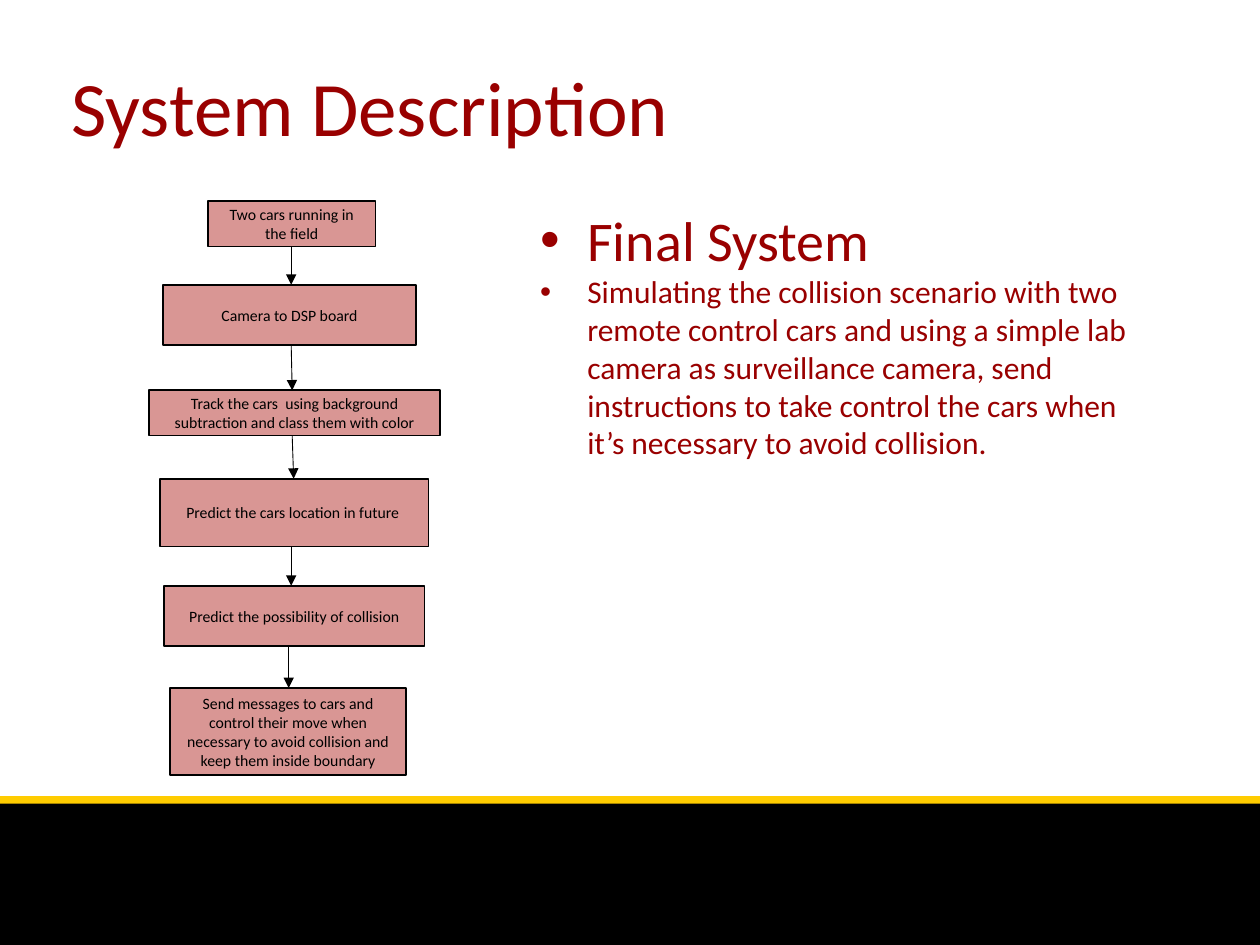
from lxml import etree
from pptx import Presentation, util as u
from pptx.dml.color import RGBColor
from pptx.enum import shapes, text
from pptx.oxml.ns import qn

FONT = "Calibri"
RED, BLACK, GOLD, PINK = "990000", "000000", "FFCC00", "D99694"

# Content; all lengths are centimetres
TITLE = "System Description"
BODY = [
    ("Final System", 32),
    ("Simulating the collision scenario with two remote control cars and using "
     "a simple lab camera as surveillance camera, send instructions to take "
     "control the cars when it’s necessary to avoid collision.", 18),
]
STEPS = [  # wording, left, top, width, height
    ("Two cars running in the field", 4.19, 4.06, 3.38, 0.91),
    ("Camera to DSP board", 3.28, 5.74, 5.11, 1.22),
    ("Track the cars  using background subtraction and class them with color",
     3.0, 7.87, 5.87, 0.91),
    ("Predict the cars location in future ", 3.23, 9.65, 5.41, 1.37),
    ("Predict the possibility of collision", 3.3, 11.81, 5.26, 1.22),
    ("Send messages to cars and control their move when necessary to avoid "
     "collision and keep them inside boundary", 3.43, 13.87, 4.75, 1.75),
]
ARROW_X = [(5.87, 5.87), (5.87, 5.89), (5.89, 5.92), (5.87, 5.87), (5.82, 5.82)]
BANDS = [(16.13, 2.92, BLACK), (16.05, 0.15, GOLD)]  # top, height, colour


def color(value):
    return RGBColor.from_string(value)


def lengths(*values):
    return [u.Cm(value) for value in values]


def style(paragraph, size, value):
    paragraph.font.name = FONT
    paragraph.font.size = u.Pt(size)
    paragraph.font.color.rgb = color(value)


def add_rectangle(slide, box, fill, line=None):
    shape = slide.shapes.add_shape(shapes.MSO_SHAPE.RECTANGLE, *lengths(*box))
    shape.shadow.inherit = False
    shape.fill.solid()
    shape.fill.fore_color.rgb = color(fill)
    if line:
        shape.line.color.rgb = color(line)
        shape.line.width = u.Pt(1)
    else:
        shape.line.fill.background()
    return shape


def add_step(slide, wording, *box):
    frame = add_rectangle(slide, box, PINK, BLACK).text_frame
    frame.word_wrap = True
    frame.vertical_anchor = text.MSO_ANCHOR.MIDDLE
    frame.margin_left = frame.margin_right = u.Cm(0.2)
    frame.margin_top = frame.margin_bottom = u.Cm(0.1)
    paragraph = frame.paragraphs[0]
    paragraph.text = wording
    paragraph.alignment = text.PP_ALIGN.CENTER
    style(paragraph, 9, BLACK)


def add_arrow(slide, *ends):
    connector = slide.shapes.add_connector(
        shapes.MSO_CONNECTOR.STRAIGHT, *lengths(*ends))
    connector.line.color.rgb = color(BLACK)
    connector.line.width = u.Pt(0.5)
    etree.SubElement(connector.line._get_or_add_ln(), qn("a:tailEnd"), type="triangle")
    etree.SubElement(connector._element.spPr, qn("a:effectLst"))


def add_text(slide, box, items, bullets=False):
    frame = slide.shapes.add_textbox(*lengths(*box)).text_frame
    frame.word_wrap = True
    for index, (wording, size) in enumerate(items):
        paragraph = frame.add_paragraph() if index else frame.paragraphs[0]
        paragraph.text = wording
        style(paragraph, size, RED)
        if bullets:
            properties = paragraph._p.get_or_add_pPr()
            properties.set("marL", str(u.Cm(0.95)))
            properties.set("indent", str(u.Cm(-0.95)))
            bullet_font = etree.Element(qn("a:buFont"), typeface="Arial")
            bullet = etree.Element(qn("a:buChar"), char="•")
            properties.insert(0, bullet_font)
            properties.insert(1, bullet)


def main():
    presentation = Presentation()
    presentation.slide_width, presentation.slide_height = lengths(25.4, 19.05)
    slide = presentation.slides.add_slide(presentation.slide_layouts[6])

    # Footer bands
    for top, height, fill in BANDS:
        add_rectangle(slide, (0, top, 25.4, height), fill)

    # Title and description
    add_text(slide, (1.19, 1.07, 17.91, 2.08), [(TITLE, 44)])
    add_text(slide, (10.64, 4.01, 13.0, 11.2), BODY, bullets=True)

    # Flow chart: each arrow spans the gap between two steps
    for step in STEPS:
        add_step(slide, *step)
    for (start, end), upper, lower in zip(ARROW_X, STEPS, STEPS[1:]):
        add_arrow(slide, start, upper[2] + upper[4], end, lower[2])

    presentation.save("out.pptx")


if __name__ == "__main__":
    main()
